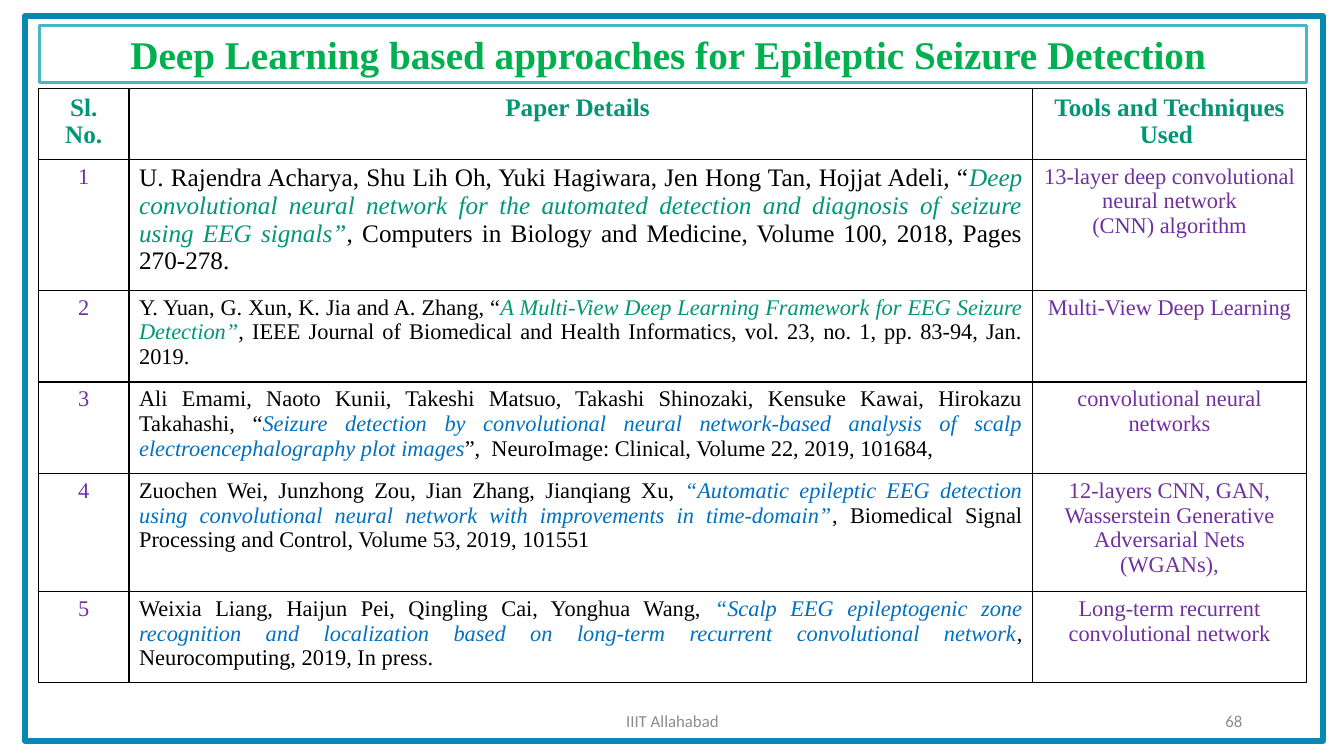
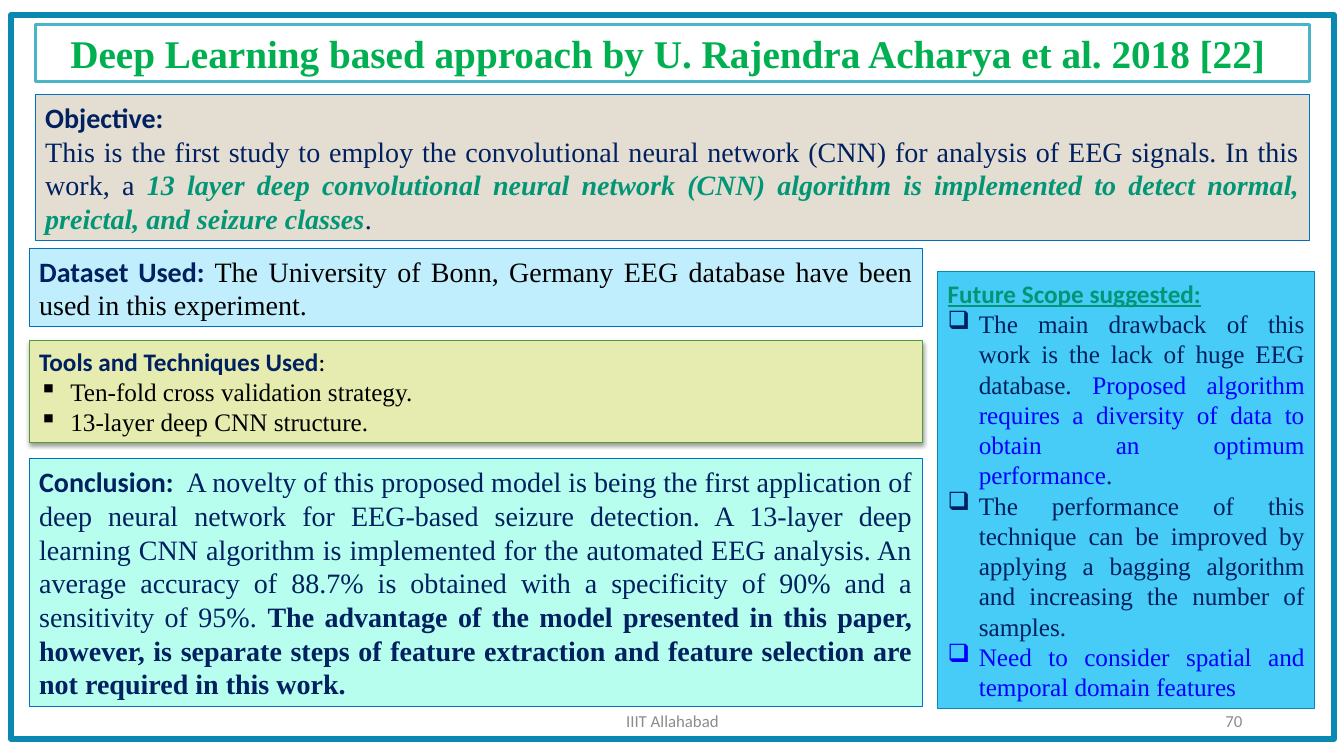
from dataclasses import dataclass

from lxml.etree import SubElement
from pptx import Presentation
from pptx.dml.color import RGBColor
from pptx.enum.shapes import MSO_SHAPE
from pptx.enum.text import MSO_ANCHOR, PP_ALIGN
from pptx.oxml.ns import qn
from pptx.util import Inches, Pt


@dataclass(frozen=True)
class Theme:
    serif: str = "Times New Roman"
    sans: str = "Calibri"
    frame: str = "0989B1"
    title_line: str = "4AB5C4"
    title: str = "00B050"
    teal: str = "029676"
    navy: str = "002060"
    blue: str = "0070C0"
    bright: str = "0000FF"
    purple: str = "7030A0"
    black: str = "000000"
    grey: str = "8C8C8C"
    sand: str = "E3DED1"
    ice: str = "C1EEFC"
    lime: str = "E6ECB0"
    leaf: str = "519D35"
    mint: str = "B8FEEF"
    sky: str = "46CCF6"
    title_size: int = 28
    large: int = 20
    medium: int = 18
    small: int = 16
    footer: int = 12
    panel_leading: float = 1.2
    table_leading: float = 1.1


THEME = Theme()


@dataclass(frozen=True)
class Span:
    text: str
    color: str = THEME.black
    font: str = THEME.serif
    bold: bool = False
    italic: bool = False
    underline: bool = False


@dataclass(frozen=True)
class Para:
    spans: tuple
    align: PP_ALIGN = PP_ALIGN.JUSTIFY
    bullet: str = ""


def heading(text, color=THEME.navy, underline=False):
    return Span(text, color, THEME.sans, bold=True, underline=underline)


def centred(text, color, bold=False):
    return Para((Span(text, color, bold=bold),), PP_ALIGN.CENTER)


def add_bullet(paragraph, symbol):
    properties = paragraph._p.get_or_add_pPr()
    indent = Inches(0.31)
    properties.set("marL", str(indent))
    properties.set("indent", str(-indent))
    SubElement(properties, qn("a:buChar")).set("char", symbol)


def write(text_frame, paras, size, leading=None):
    text_frame.word_wrap = True
    for index, para in enumerate(paras):
        paragraph = text_frame.add_paragraph() if index else text_frame.paragraphs[0]
        if para.bullet:
            add_bullet(paragraph, para.bullet)
        paragraph.alignment = para.align
        if leading:
            paragraph.line_spacing = Pt(round(size * leading, 1))
        for span in para.spans:
            run = paragraph.add_run()
            run.text = span.text
            font = run.font
            font.name = span.font
            font.size = Pt(size)
            font.bold = span.bold
            font.italic = span.italic
            font.underline = span.underline
            font.color.rgb = RGBColor.from_string(span.color)


def add_box(slide, box, line, width, fill=None):
    shape = slide.shapes.add_shape(MSO_SHAPE.RECTANGLE, *map(Inches, box))
    shape.shadow.inherit = False
    if fill:
        shape.fill.solid()
        shape.fill.fore_color.rgb = RGBColor.from_string(fill)
    else:
        shape.fill.background()
    shape.line.color.rgb = RGBColor.from_string(line)
    shape.line.width = Pt(width)
    shape.text_frame.vertical_anchor = MSO_ANCHOR.MIDDLE
    return shape


def add_footer_text(slide, box, text, align):
    footer = slide.shapes.add_textbox(*map(Inches, box)).text_frame
    footer.vertical_anchor = MSO_ANCHOR.MIDDLE
    write(footer, [Para((Span(text, THEME.grey, THEME.sans),), align)], THEME.footer)


def start_slide(deck, title, number, frame_box, title_box):
    slide = deck.slides.add_slide(deck.slide_layouts[6])
    add_footer_text(slide, (4.42, 6.95, 4.5, 0.4), "IIIT Allahabad", PP_ALIGN.CENTER)
    add_box(slide, frame_box, THEME.frame, 4.5)
    banner = add_box(slide, title_box, THEME.title_line, 2.25)
    write(banner.text_frame, [centred(title, THEME.title, bold=True)], THEME.title_size)
    add_footer_text(slide, (9.42, 6.95, 3, 0.4), number, PP_ALIGN.RIGHT)
    return slide


def add_panel(slide, box, fill, line, size, paras):
    panel = add_box(slide, box, line, 0.75, fill)
    write(panel.text_frame, paras, size, THEME.panel_leading)
    return panel


def cast_shadow(shape):
    effects = shape._element.spPr.find(qn("a:effectLst"))
    shadow = SubElement(effects, qn("a:outerShdw"))
    settings = {"blurRad": Pt(3.1), "dist": Pt(1.6), "dir": 90 * 60000, "rotWithShape": 0}
    for key, value in settings.items():
        shadow.set(key, str(value))
    color = SubElement(shadow, qn("a:srgbClr"))
    color.set("val", THEME.black)
    SubElement(color, qn("a:alpha")).set("val", "38000")


def rule_cell(cell):
    properties = cell._tc.get_or_add_tcPr()
    for side in ("lnL", "lnR", "lnT", "lnB"):
        border = SubElement(properties, qn(f"a:{side}"))
        border.set("w", str(Pt(1)))
        fill = SubElement(border, qn("a:solidFill"))
        SubElement(fill, qn("a:srgbClr")).set("val", THEME.black)
    cell.fill.background()


HEADERS = ("Sl. No.", "Paper Details ", "Tools and Techniques Used ")

PAPERS = (
    (
        "U. Rajendra Acharya, Shu Lih Oh, Yuki Hagiwara, Jen Hong Tan, Hojjat Adeli, “",
        "Deep convolutional neural network for the automated detection and diagnosis of seizure using EEG signals”",
        ", Computers in Biology and Medicine, Volume 100, 2018, Pages 270-278.",
        THEME.teal,
        THEME.medium,
        ("13-layer deep convolutional neural network", "(CNN) algorithm"),
    ),
    (
        "Y. Yuan, G. Xun, K. Jia and A. Zhang, “",
        "A Multi-View Deep Learning Framework for EEG Seizure Detection”",
        ", IEEE Journal of Biomedical and Health Informatics, vol. 23, no. 1, pp. 83-94, Jan. 2019.",
        THEME.teal,
        THEME.small,
        ("Multi-View Deep Learning",),
    ),
    (
        "Ali Emami, Naoto Kunii, Takeshi Matsuo, Takashi Shinozaki, Kensuke Kawai, Hirokazu Takahashi, “",
        "Seizure detection by convolutional neural network-based analysis of scalp electroencephalography plot images",
        "”,  NeuroImage: Clinical, Volume 22, 2019, 101684,",
        THEME.blue,
        THEME.small,
        ("convolutional neural networks",),
    ),
    (
        "Zuochen Wei, Junzhong Zou, Jian Zhang, Jianqiang Xu, ",
        "“Automatic epileptic EEG detection using convolutional neural network with improvements in time-domain”",
        ", Biomedical Signal Processing and Control, Volume 53, 2019, 101551",
        THEME.blue,
        THEME.small,
        ("12-layers CNN, GAN, Wasserstein Generative Adversarial Nets (WGANs),",),
    ),
    (
        "Weixia Liang, Haijun Pei, Qingling Cai, Yonghua Wang, ",
        "“Scalp EEG epileptogenic zone recognition and localization based on long-term recurrent convolutional network",
        ", Neurocomputing, 2019, In press.",
        THEME.blue,
        THEME.small,
        ("Long-term recurrent convolutional network",),
    ),
)


def add_paper_table(slide, left, top):
    widths = (0.9, 8.96, 2.72)
    heights = (0.7, 1.3, 0.91, 0.91, 1.17, 0.9)
    box = (left, top, sum(widths), sum(heights))
    table = slide.shapes.add_table(len(heights), len(widths), *map(Inches, box)).table
    table.first_row = table.horz_banding = False
    for column, width in zip(table.columns, widths):
        column.width = Inches(width)
    for row, height in zip(table.rows, heights):
        row.height = Inches(height)

    contents = [[([centred(text, THEME.teal, bold=True)], THEME.medium) for text in HEADERS]]
    for number, (authors, paper, source, color, size, tools) in enumerate(PAPERS, 1):
        citation = Para((Span(authors), Span(paper, color, italic=True), Span(source)))
        contents.append([
            ([centred(str(number), THEME.purple)], THEME.small),
            ([citation], size),
            ([centred(tool, THEME.purple) for tool in tools], THEME.small),
        ])
    for row, entries in zip(table.rows, contents):
        for cell, (paras, size) in zip(row.cells, entries):
            rule_cell(cell)
            write(cell.text_frame, paras, size, THEME.table_leading)


def build_survey(deck):
    slide = start_slide(
        deck, "Deep Learning based approaches for Epileptic Seizure Detection ", "68",
        (0.25, 0.16, 12.87, 7.19), (0.39, 0.25, 12.57, 0.57))
    add_paper_table(slide, 0.38, 0.88)


def add_study_column(slide, left, width):
    add_panel(slide, (left, 2.47, width, 0.77), THEME.ice, THEME.blue, THEME.large, [Para((
        heading("Dataset Used: "),
        Span("The University of Bonn, Germany EEG database have been used in this experiment."),
    ))])
    tools = ("Ten-fold cross validation strategy.", "13-layer deep CNN structure.")
    tools_panel = add_panel(
        slide, (left, 3.38, width, 1.01), THEME.lime, THEME.leaf, THEME.medium,
        [Para((heading("Tools and Techniques Used"), Span(":", font=THEME.sans)), PP_ALIGN.LEFT)]
        + [Para((Span(tool),), bullet="▪") for tool in tools])
    cast_shadow(tools_panel)
    add_panel(slide, (left, 4.55, width, 2.46), THEME.mint, THEME.blue, THEME.large, [Para((
        heading("Conclusion:  "),
        Span("A novelty of this proposed model is being the first application of deep neural network for "
             "EEG-based seizure detection. A 13-layer deep learning CNN algorithm is implemented for the "
             "automated EEG analysis. An average accuracy of 88.7% is obtained with a specificity of 90% "
             "and a sensitivity of 95%. ", THEME.navy),
        Span("The advantage of the model presented in this paper, however, is separate steps of feature "
             "extraction and feature selection are not required in this work.", THEME.navy, bold=True),
    ))])


def add_future_scope(slide, box):
    points = (
        (Span("The main drawback of this work is the lack of huge EEG database. ", THEME.navy),
         Span("Proposed algorithm requires a diversity of data to obtain an optimum performance", THEME.bright),
         Span(". ", THEME.navy)),
        (Span("The performance of this technique can be improved by applying a bagging algorithm "
              "and increasing the number of samples.", THEME.navy),),
        (Span("Need to consider spatial and temporal domain features", THEME.bright),),
    )
    title = Para((heading("Future Scope suggested:", THEME.teal, underline=True),), PP_ALIGN.LEFT)
    add_panel(slide, box, THEME.sky, THEME.frame, THEME.medium,
              [title] + [Para(point, bullet="❑") for point in points])


def build_study(deck):
    slide = start_slide(
        deck, "Deep Learning based approach by U. Rajendra Acharya et al. 2018 [22] ", "70",
        (0.11, 0.15, 13.12, 7.18), (0.35, 0.24, 12.64, 0.57))
    add_panel(slide, (0.35, 0.94, 12.64, 1.45), THEME.sand, THEME.blue, THEME.large, [
        Para((heading("Objective: "),)),
        Para((
            Span("This is the first study to employ the convolutional neural network (CNN) for analysis "
                 "of EEG signals. In this work, a ", THEME.navy),
            Span("13 layer deep convolutional neural network (CNN) algorithm is implemented to detect "
                 "normal, preictal, and seizure classes", THEME.teal, bold=True, italic=True),
            Span(".", THEME.navy),
        )),
    ])
    add_study_column(slide, 0.29, 8.86)
    add_future_scope(slide, (9.3, 2.69, 3.74, 4.34))


def main():
    deck = Presentation()
    deck.slide_width, deck.slide_height = Inches(13.33), Inches(7.5)
    build_survey(deck)
    build_study(deck)
    deck.save("out.pptx")


if __name__ == "__main__":
    main()
